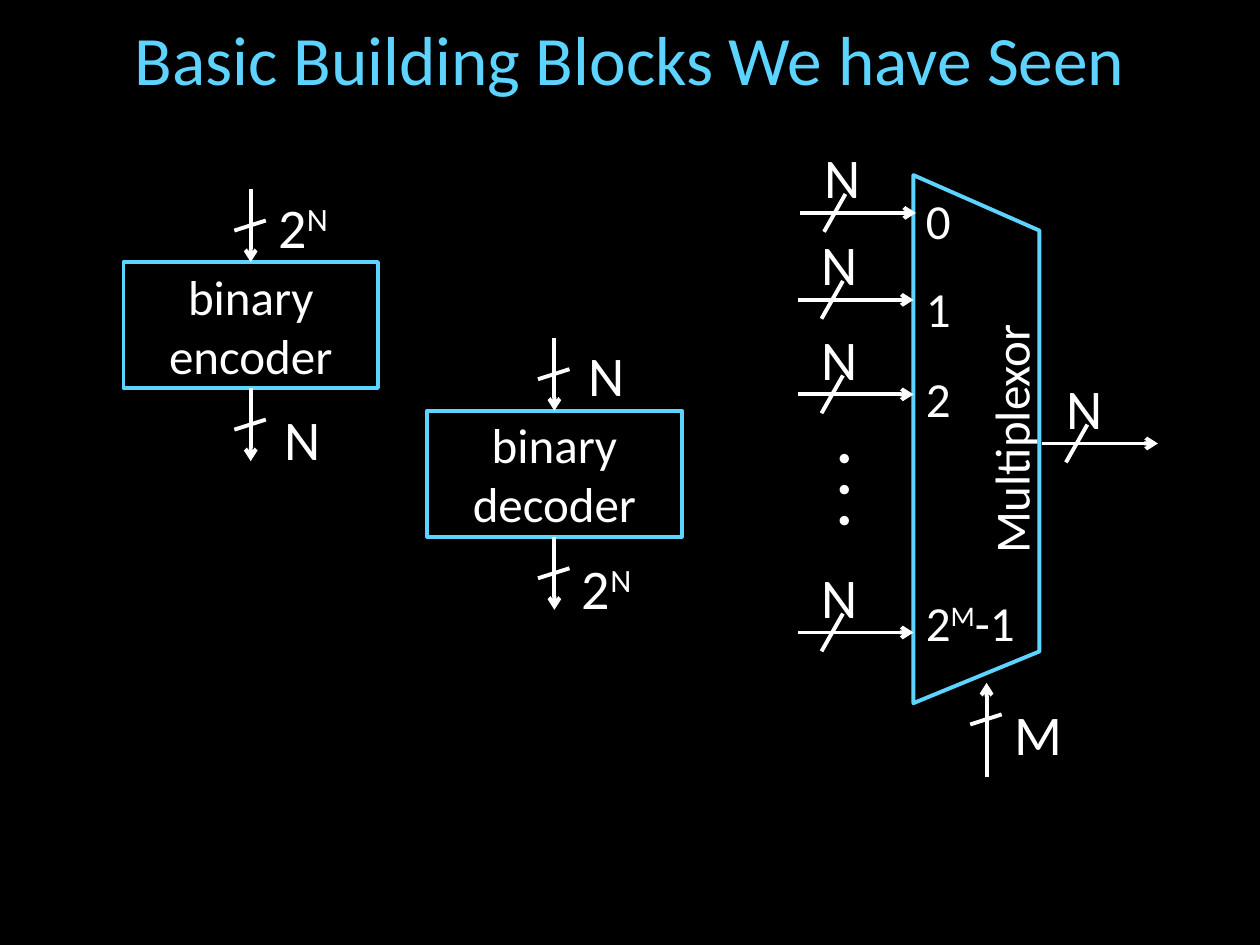
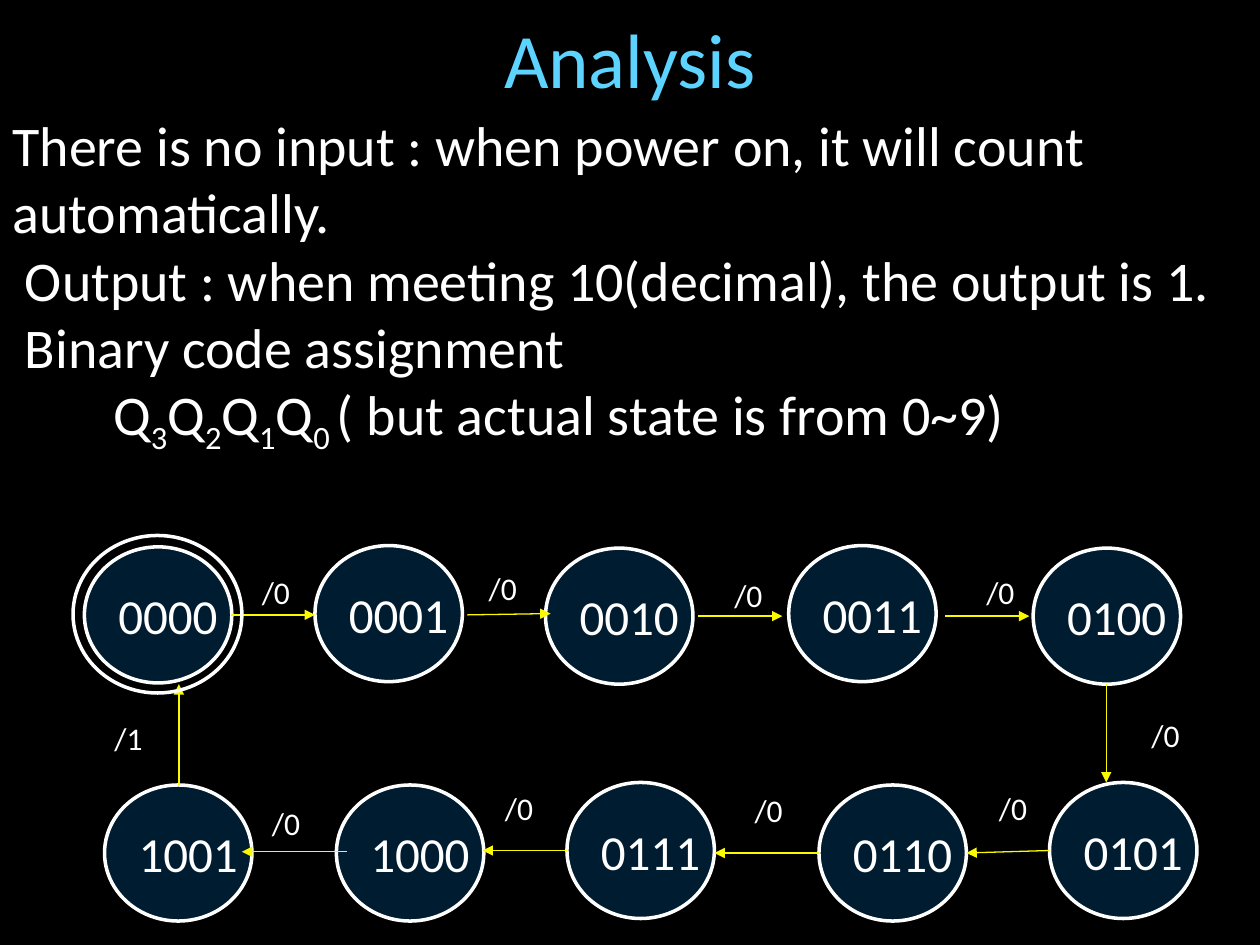
from lxml import etree
from pptx import Presentation
from pptx import util as u
from pptx.dml.color import RGBColor
from pptx.enum import shapes, text
from pptx.oxml import ns

BLACK = RGBColor(0x00, 0x00, 0x00)
WHITE = RGBColor(0xFF, 0xFF, 0xFF)
SKY = RGBColor(0x5D, 0xD4, 0xFF)
NAVY = RGBColor(0x00, 0x38, 0x60)
YELLOW = RGBColor(0xF9, 0xF9, 0x00)

FONT = "Calibri"
LEFT, CENTER = text.PP_ALIGN.LEFT, text.PP_ALIGN.CENTER
MIDDLE, BOTTOM = text.MSO_ANCHOR.MIDDLE, text.MSO_ANCHOR.BOTTOM
BASELINES = {"^": "30000", "_": "-25000"}
NO_INSETS = dict.fromkeys(
    ["margin_left", "margin_top", "margin_right", "margin_bottom"], 0)


def set_values(target, values):
    for name, value in values.items():
        setattr(target, name, value)


class Deck:
    """Holds the shared style and the slide being drawn."""

    def __init__(self):
        self.prs = Presentation()
        self.prs.slide_width, self.prs.slide_height = u.Inches(10), u.Inches(7.5)
        fill = self.prs.slide_master.background.fill
        fill.solid()
        fill.fore_color.rgb = BLACK
        self.slide = None

    def new_slide(self, title, size):
        self.slide = self.prs.slides.add_slide(self.prs.slide_layouts[5])
        heading = self.slide.shapes.title
        set_values(heading, {"left": u.Inches(0.25), "top": u.Inches(0.17),
                             "width": u.Inches(9.5), "height": u.Inches(0.58)})
        self.put_text(heading, [title], size, SKY, CENTER,
                      frame={"vertical_anchor": MIDDLE, "word_wrap": True,
                             "auto_size": text.MSO_AUTO_SIZE.NONE, **NO_INSETS})

    def put_text(self, shape, lines, size, color=WHITE, align=LEFT,
                 spacing=None, bold=False, frame=None):
        """Fill a shape; '|' parts runs, '^' raises a run and '_' lowers it."""
        body = shape.text_frame
        set_values(body, frame or {})
        for number, line in enumerate(lines):
            paragraph = body.add_paragraph() if number else body.paragraphs[0]
            set_values(paragraph, {"alignment": align, "line_spacing": spacing})
            for part in line.split("|"):
                run = paragraph.add_run()
                run.text = part.lstrip("^_")
                set_values(run.font, {"name": FONT, "size": u.Pt(size), "bold": bold})
                run.font.color.rgb = color
                if part[0] in BASELINES:
                    run._r.get_or_add_rPr().set("baseline", BASELINES[part[0]])
        return body

    def label(self, box, lines, size, **style):
        shape = self.slide.shapes.add_textbox(*map(u.Inches, box))
        body = self.put_text(shape, lines, size, frame={"word_wrap": True}, **style)
        return shape, body

    def outline(self, shape, color, width, fill=None):
        shape.shadow.inherit = False
        shape.line.color.rgb = color
        shape.line.width = u.Pt(width)
        if fill is None:
            shape.fill.background()
            return
        shape.fill.solid()
        shape.fill.fore_color.rgb = fill
        tint = shape._element.spPr.find(ns.qn("a:solidFill")).find(ns.qn("a:srgbClr"))
        etree.SubElement(tint, ns.qn("a:alpha"), val="50000")

    def block(self, box, lines):
        shape = self.slide.shapes.add_shape(
            shapes.MSO_SHAPE.RECTANGLE, *map(u.Inches, box))
        self.outline(shape, SKY, 2.25)
        self.put_text(shape, lines, 28, align=CENTER, frame={"vertical_anchor": MIDDLE})
        return shape

    def circle(self, box, code=None):
        shape = self.slide.shapes.add_shape(
            shapes.MSO_SHAPE.OVAL, *map(u.Inches, box))
        self.outline(shape, WHITE, 2, NAVY if code else None)
        if code:
            self.put_text(shape, [code], 28,
                          frame={"vertical_anchor": MIDDLE, "word_wrap": False})

    def line(self, start, end, color=WHITE, width=2.25, head=None):
        wire = self.slide.shapes.add_connector(
            shapes.MSO_CONNECTOR.STRAIGHT, *map(u.Inches, (*start, *end)))
        wire.line.color.rgb = color
        wire.line.width = u.Pt(width)
        properties = wire._element.spPr
        if head:
            etree.SubElement(properties.find(ns.qn("a:ln")), ns.qn("a:tailEnd"), type=head)
        etree.SubElement(properties, ns.qn("a:effectLst"))
        return wire

    def bus_label(self, x, y, width):
        self.label((x, y, 0.67, 0.69), [width], 32, align=CENTER, spacing=1.16)

    def vertical_bus(self, x, top, length, width, lift=0.0, up=False):
        ends = [(x, top), (x, top + length)]
        wire = self.line(*(ends[::-1] if up else ends), head="arrow")
        self.line((x + 0.12, top + 0.25), (x - 0.13, top + 0.33))
        self.bus_label(x + 0.08, top - lift, width)
        return wire

    def horizontal_bus(self, x, y):
        self.line((x, y), (x + 0.92, y), head="arrow")
        self.line((x + 0.36, y - 0.15), (x + 0.19, y + 0.15))
        self.bus_label(x, y - 0.69, "N")

    def polygon(self, points):
        corners = [tuple(map(u.Inches, point)) for point in points]
        builder = self.slide.shapes.build_freeform(*corners[0])
        builder.add_line_segments(corners[1:], close=True)
        shape = builder.convert_to_shape()
        self.outline(shape, SKY, 2.25)
        return shape


def building_blocks(deck):
    deck.new_slide("Basic Building Blocks We have Seen", 39.6)

    # Encoder and decoder, each with a bus in and a bus out
    for name, left, top, bus_in, bus_out in [
            ("encoder", 0.98, 2.08, "2|^N", "N"),
            ("decoder", 3.39, 3.26, "N", "2|^N")]:
        coder = deck.block((left, top, 2.02, 1), ["binary", name])
        middle = left + 1.01
        deck.vertical_bus(middle, top - 0.58, 0.58, bus_in, 0.11).end_connect(coder, 0)
        deck.vertical_bus(middle, top + 1, 0.58, bus_out).begin_connect(coder, 2)

    # Multiplexor body, its name running upwards along the right edge
    mux = deck.polygon([(7.25, 5.58), (7.25, 1.39), (8.25, 1.83), (8.25, 5.17)])
    name = deck.put_text(mux, ["Multiplexor"], 28, align=CENTER,
                         frame={"vertical_anchor": BOTTOM, **NO_INSETS})
    name._txBody.bodyPr.set("vert", "vert270")

    # Output, select and data buses
    deck.horizontal_bus(8.27, 3.52)
    deck.vertical_bus(7.83, 5.42, 0.75, "M", up=True)
    for x, y in [(6.35, 1.69), (6.33, 2.38), (6.33, 3.13), (6.33, 5.02)]:
        deck.horizontal_bus(x, y)
    dots, _ = deck.label((6.03, 3.51, 0.88, 0.76), [". . ."], 36,
                         align=CENTER, spacing=1.16, bold=True)
    dots.rotation = 270

    # Input numbers
    for number, y in [("0", 1.39), ("1", 2.09), ("2", 2.8), ("2|^M|-1", 4.58)]:
        deck.label((7.25, y, 1.25, 0.62), [number], 28, spacing=1.16)


def analysis(deck):
    deck.new_slide("Analysis", 44)

    # Statements, stepped in from the left
    _, statements = deck.label((0, 0.83, 10, 2.79), [
        "There is no input : when power on, it will count automatically.",
        "Output : when meeting 10(decimal), the output is 1.",
        "Binary code assignment",
        "Q|_3|Q|_2|Q|_1|Q|_0 |( but actual state is from 0~9)"], 32)
    for paragraph, indent in zip(statements.paragraphs, [0, 0.1, 0.1, 0.8]):
        paragraph._p.get_or_add_pPr().set("marL", str(u.Inches(indent)))

    # States in counting order: place, arrow to the next state, place of its output
    states = [
        ((0.67, 4.34), (1.83, 4.88), (2.5, 4.88), (1.92, 4.5)),
        ((2.5, 4.33), (3.71, 4.88), (4.37, 4.87), (3.72, 4.47)),
        ((4.33, 4.35), (5.54, 4.89), (6.21, 4.89), (5.67, 4.52)),
        ((6.26, 4.33), (7.5, 4.89), (8.17, 4.89), (7.67, 4.5)),
        ((8.2, 4.35), (8.78, 5.43), (8.78, 6.21), (8.98, 5.63)),
        ((8.33, 6.21), (8.33, 6.75), (7.67, 6.77), (7.77, 6.21)),
        ((6.5, 6.23), (6.5, 6.77), (5.67, 6.77), (5.83, 6.23)),
        ((4.5, 6.21), (4.5, 6.75), (3.83, 6.75), (3.85, 6.21)),
        ((2.67, 6.23), (2.75, 6.76), (1.92, 6.76), (2, 6.33)),
        ((0.83, 6.23), (1.42, 6.23), (1.42, 5.43), (0.75, 5.66)),
    ]
    for count, (place, *_) in enumerate(states):
        deck.circle((*place, 1.17, 1.08), f"{count:04b}")
    for count, (_, start, end, (x, y)) in enumerate(states):
        deck.line(start, end, YELLOW, 0.75, "triangle")
        output = "/1" if count == 9 else "/0"
        deck.label((x + 0.06, y, 0.5, 0.4), [output], 18)

    # Ring that marks the start state
    deck.circle((0.58, 4.25, 1.34, 1.25))


def main():
    deck = Deck()
    building_blocks(deck)
    analysis(deck)
    deck.prs.save("out.pptx")


if __name__ == "__main__":
    main()
